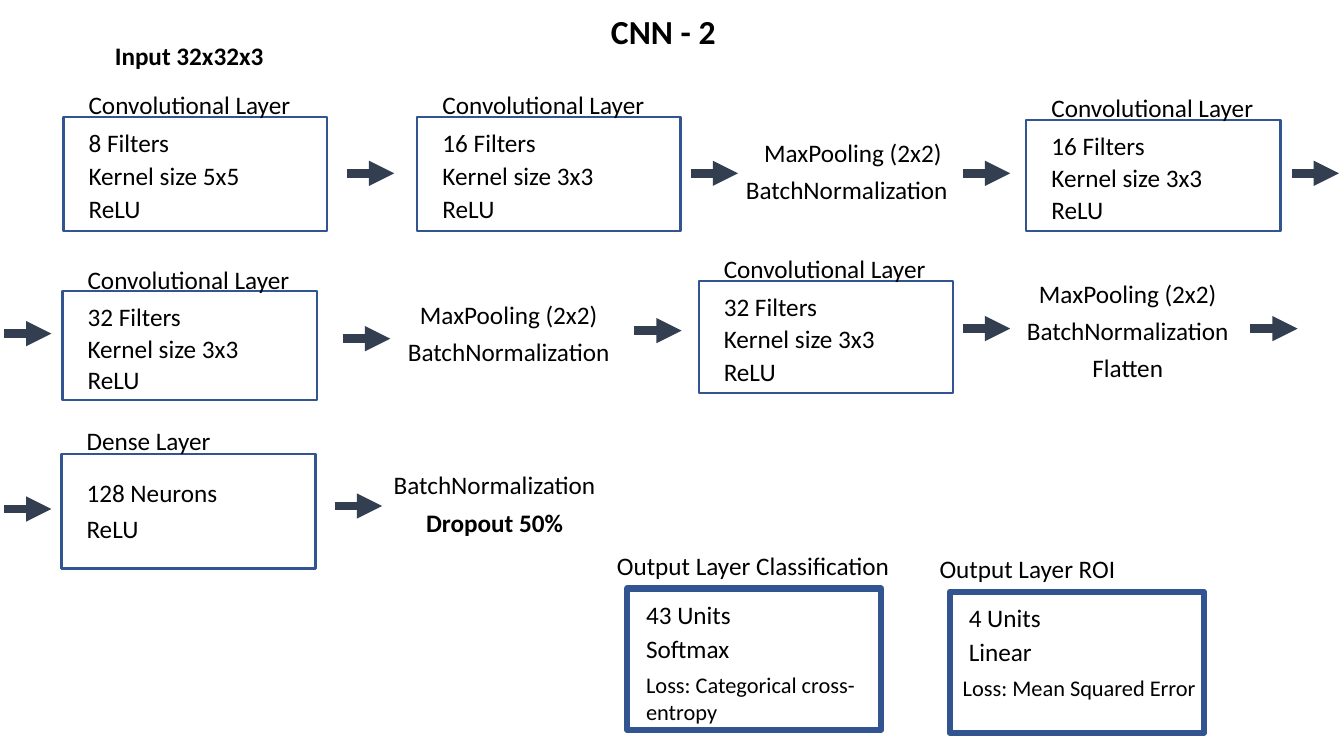
from lxml.etree import SubElement
from pptx import Presentation
from pptx.dml.color import RGBColor
from pptx.enum.shapes import MSO_CONNECTOR, MSO_SHAPE
from pptx.enum.text import MSO_ANCHOR, MSO_AUTO_SIZE, PP_ALIGN
from pptx.oxml.ns import qn
from pptx.util import Inches, Pt

FONT = "Calibri"
TEXT, BORDER, ARROW = "000000", "325491", "333F50"
LINE_HEIGHT = 0.4
ARROW_LENGTH = 0.47

# Left, top, width, height, heading, lines
LAYERS = [
    (0.63, 1.16, 2.61, 1.13, "Convolutional Layer", ["8 Filters", "Kernel size 5x5", "ReLU"]),
    (4.14, 1.16, 2.61, 1.13, "Convolutional Layer", ["16 Filters", "Kernel size 3x3", "ReLU"]),
    (10.18, 1.19, 2.52, 1.1, "Convolutional Layer", ["16 Filters", "Kernel size 3x3", "ReLU"]),
    (0.62, 2.89, 2.52, 1.08, "Convolutional Layer", ["32 Filters", "Kernel size 3x3", "ReLU"]),
    (6.93, 2.79, 2.52, 1.11, "Convolutional Layer", ["32 Filters", "Kernel size 3x3", "ReLU"]),
    (0.61, 4.5, 2.52, 1.14, "Dense Layer", ["128 Neurons", "ReLU"]),
]

# Left, top, alignment, lines
OPERATIONS = [
    (7.3, 1.31, PP_ALIGN.LEFT, ["MaxPooling (2x2)", "BatchNormalization"]),
    (3.84, 2.92, PP_ALIGN.CENTER, ["MaxPooling (2x2)", "BatchNormalization"]),
    (9.98, 2.71, PP_ALIGN.CENTER, ["MaxPooling (2x2)", "BatchNormalization", "Flatten"]),
    (3.7, 4.61, PP_ALIGN.CENTER, ["BatchNormalization", "Dropout 50%"]),
]

# Left, top, heading, lines, loss, loss indent, loss height
OUTPUTS = [
    (6.22, 5.84, "Output Layer Classification", ["43 Units", "Softmax"],
     "Loss: Categorical cross-entropy", 0.09, 0.64),
    (9.42, 5.87, "Output Layer ROI", ["4 Units", "Linear"],
     "Loss: Mean Squared Error", 0.03, 0.37),
]

# Left end and height of each arrow
ARROWS = [
    (3.44, 1.72), (6.85, 1.72), (9.55, 1.72), (12.81, 1.72),
    (0.04, 3.31), (3.4, 3.36), (6.29, 3.28), (9.55, 3.26), (12.4, 3.26),
    (0.04, 5.05), (3.32, 5.02),
]


def color(value):
    return RGBColor.from_string(value)


def write(box, text, size=18, bold=False, align=PP_ALIGN.LEFT):
    frame = box.text_frame
    frame_format = {"word_wrap": True, "auto_size": MSO_AUTO_SIZE.NONE,
                    "vertical_anchor": MSO_ANCHOR.TOP}
    for name, value in frame_format.items():
        setattr(frame, name, value)
    para = frame.paragraphs[0]
    para.alignment = align
    span = para.add_run()
    span.text = text
    for name, value in {"name": FONT, "size": Pt(size), "bold": bold}.items():
        setattr(span.font, name, value)
    span.font.color.rgb = color(TEXT)


def add_text(shapes, left, top, width, height, text, **style):
    box = shapes.add_textbox(Inches(left), Inches(top), Inches(width), Inches(height))
    write(box, text, **style)


def add_frame(shapes, left, top, width, height, weight):
    frame = shapes.add_shape(MSO_SHAPE.RECTANGLE, Inches(left), Inches(top),
                             Inches(width), Inches(height))
    frame.shadow.inherit = False
    frame.fill.background()
    frame.line.color.rgb = color(BORDER)
    frame.line.width = Pt(weight)


def add_title(page):
    title = page.shapes.title
    place = {"left": 5.96, "top": 0.06, "width": 1.35, "height": 0.5}
    for name, value in place.items():
        setattr(title, name, Inches(value))
    write(title, "CNN - 2", size=24, bold=True)


def add_layer(page, left, top, width, height, heading, lines):
    shapes = page.shapes.add_group_shape().shapes
    add_frame(shapes, left, top, width, height, 1.5)
    # The line spacing follows the height of the layer
    row = 0.29 * height
    start, step = (0.05, row) if len(lines) == 3 else (0.19, 0.35)
    text_left, text_width = left + 0.15, width - 0.3
    add_text(shapes, text_left, top - row, text_width, row, heading)
    for index, line in enumerate(lines):
        add_text(shapes, text_left, top + start + index * step, text_width, row, line)


def add_operations(page, left, top, align, lines):
    shapes = page.shapes.add_group_shape().shapes
    for index, line in enumerate(lines):
        inset = 0.18 if line.startswith("MaxPooling") else 0
        add_text(shapes, left + inset, top + index * 0.37, 2.41 - 2 * inset, LINE_HEIGHT,
                 line, align=align, bold=line.startswith("Dropout"))


def add_output(page, left, top, heading, lines, loss, loss_indent, loss_height):
    shapes = page.shapes.add_group_shape().shapes
    add_frame(shapes, left, top, 2.52, 1.4, 4.5)
    add_text(shapes, left - 0.2, top - 0.43, 2.91, LINE_HEIGHT, heading)
    for index, line in enumerate(lines):
        add_text(shapes, left + 0.09, top + 0.06 + index * 0.33, 1.12, LINE_HEIGHT, line)
    add_text(shapes, left + loss_indent, top + 0.77, 2.55, loss_height, loss, size=16)


def add_arrow(page, left, middle):
    arrow = page.shapes.add_connector(MSO_CONNECTOR.STRAIGHT, Inches(left), Inches(middle),
                                      Inches(left + ARROW_LENGTH), Inches(middle))
    arrow.line.color.rgb = color(ARROW)
    arrow.line.width = Pt(6)
    properties = arrow.element.spPr
    SubElement(properties.find(qn("a:ln")), qn("a:tailEnd"), type="triangle")
    SubElement(properties, qn("a:effectLst"))


def main():
    deck = Presentation()
    deck.slide_width, deck.slide_height = Inches(13.33), Inches(7.5)
    page = deck.slides.add_slide(deck.slide_layouts[5])

    # Title and input
    add_title(page)
    add_text(page.shapes, 1.04, 0.35, 1.78, LINE_HEIGHT, "Input 32x32x3", bold=True)

    # Network
    for add_part, parts in ((add_layer, LAYERS), (add_operations, OPERATIONS),
                            (add_arrow, ARROWS), (add_output, OUTPUTS)):
        for part in parts:
            add_part(page, *part)

    deck.save("out.pptx")


if __name__ == "__main__":
    main()
